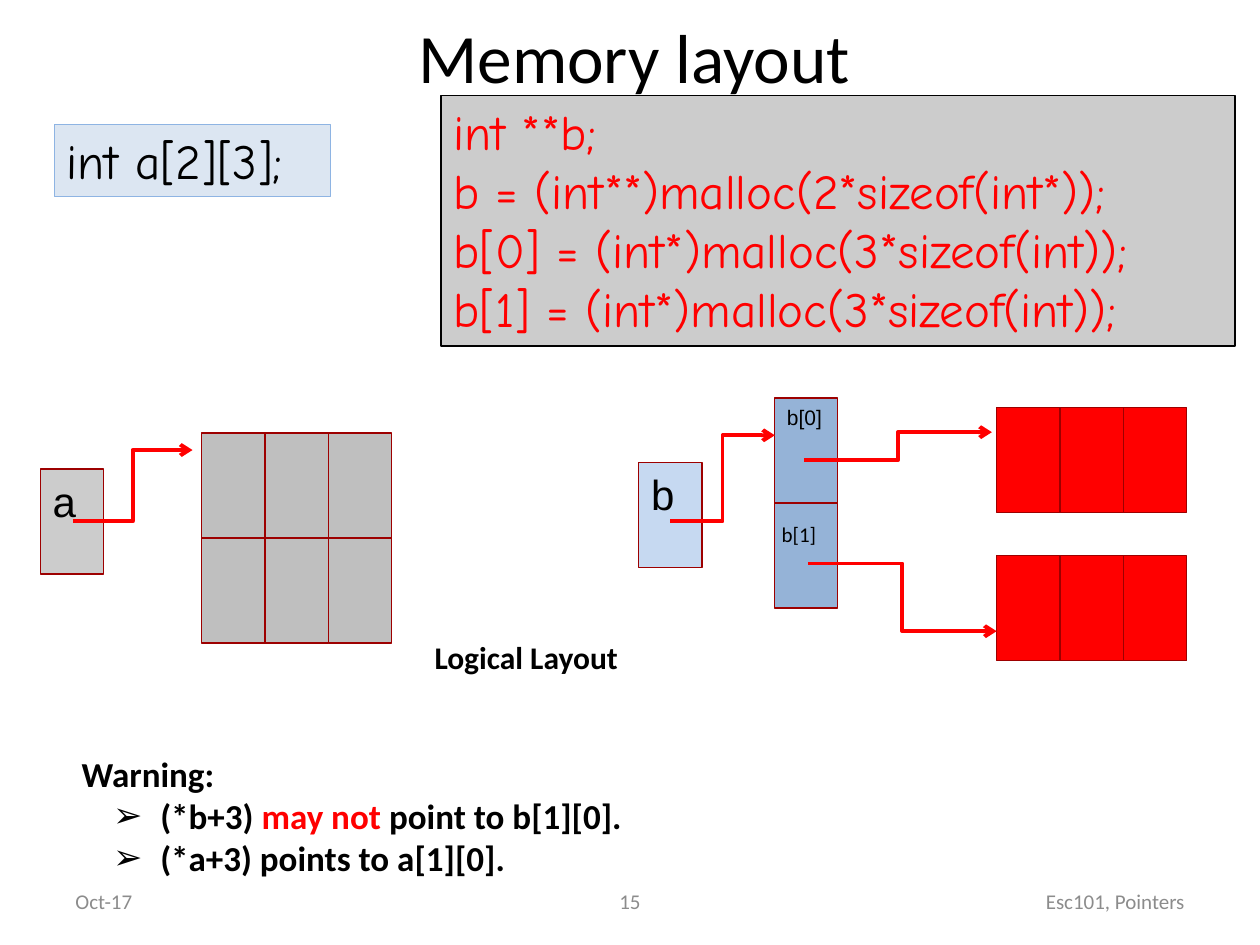
from lxml.etree import SubElement
from pptx import Presentation
from pptx.dml.color import RGBColor
from pptx.enum.shapes import MSO_CONNECTOR, MSO_SHAPE
from pptx.enum.text import MSO_ANCHOR, PP_ALIGN
from pptx.oxml.ns import qn
from pptx.util import Pt

BLACK = RGBColor(0, 0, 0)
RED = RGBColor(255, 0, 0)
DARK = RGBColor(0x9D, 0, 0)
MUTED = RGBColor(0x8C, 0x8C, 0x8C)
GRAY = RGBColor(0xBF, 0xBF, 0xBF)
SILVER = RGBColor(0xCC, 0xCC, 0xCC)
PALE = RGBColor(0xDC, 0xE6, 0xF2)
SKY = RGBColor(0x8E, 0xB4, 0xE3)
BLUE = RGBColor(0x95, 0xB3, 0xD7)
LIGHT = RGBColor(0xC6, 0xD9, 0xF1)

deck = Presentation()
deck.slide_width, deck.slide_height = Pt(720), Pt(540)
slide = deck.slides.add_slide(deck.slide_layouts[6])
shapes = slide.shapes


def write(text, *, box, size, font="Calibri", color=BLACK, bold=False,
          align=PP_ALIGN.LEFT, anchor=MSO_ANCHOR.TOP, hot=None, shape=None):
    shape = shape or shapes.add_textbox(*map(Pt, box))
    frame = shape.text_frame
    frame.word_wrap = True
    frame.vertical_anchor = anchor
    for i, line in enumerate(text.split("\n")):
        para = frame.paragraphs[0] if i == 0 else frame.add_paragraph()
        para.alignment = align
        parts = line.partition(hot) if hot else (line,)
        for part in filter(None, parts):
            run = para.add_run()
            run.text = part
            run.font.name, run.font.size = font, Pt(size)
            run.font.bold = bold
            run.font.color.rgb = RED if part == hot else color
    return frame


def block(box, fill, line=DARK, text="", **style):
    shape = shapes.add_shape(MSO_SHAPE.RECTANGLE, *map(Pt, box))
    shape.shadow.inherit = False
    shape.fill.solid()
    shape.fill.fore_color.rgb = fill
    shape.line.color.rgb = line
    shape.line.width = Pt(0.75)
    if text:
        write(text, box=box, shape=shape, **style)


MID = MSO_ANCHOR.MIDDLE
write("Memory layout", box=(25, 3.6, 675, 57), size=39.6,
      align=PP_ALIGN.CENTER, anchor=MID)
for text, left, width, align in (
    ("Oct-17", 36, 168, PP_ALIGN.LEFT),
    ("15", 246, 228, PP_ALIGN.CENTER),
    ("Esc101, Pointers", 516, 168, PP_ALIGN.RIGHT),
):
    write(text, box=(left, 500.5, width, 28.8), size=12, color=MUTED,
          align=align, anchor=MID)

block((31, 71.2, 158, 41.2), PALE, SKY, "int a[2][3];",
      size=28, font="Comic Neue")
code = """int **b;
b = (int**)malloc(2*sizeof(int*));
b[0] = (int*)malloc(3*sizeof(int));
b[1] = (int*)malloc(3*sizeof(int));"""
block((252, 54.7, 453.8, 143), SILVER, BLACK, code,
      size=28, font="Comic Neue", color=RED)

WIDE, HIGH, STEP = 36.2, 60, 36.2
for left, top, fill in (
    (115.2, 247.4, GRAY), (115.2, 307.4, GRAY),
    (569.5, 232.8, RED), (569.5, 317.6, RED),
):
    for col in range(3):
        block((left + col * STEP, top, WIDE, HIGH), fill)

for text, left, top, fill, size in (
    ("a", 23, 268, SILVER, 24),
    ("b[0]", 442.6, 227.4, BLUE, 12),
    ("", 442.6, 287.4, BLUE, 12),
    ("b", 365, 264.4, LIGHT, 24),
):
    block((left, top, WIDE, HIGH), fill, text=text, size=size, font="Arial")

for ends in (
    (41.5, 298, 110, 257.2),
    (383, 298, 442.8, 248.8),
    (459.5, 263, 566.8, 247),
    (461.7, 322, 569.5, 360.7),
):
    arrow = shapes.add_connector(MSO_CONNECTOR.ELBOW, *map(Pt, ends))
    arrow.line.color.rgb = RED
    arrow.line.width = Pt(2.25)
    SubElement(arrow.line._get_or_add_ln(), qn("a:tailEnd"), type="arrow")
    SubElement(arrow._element.spPr, qn("a:effectLst"))

write("b[1]", box=(439.6, 294.5, 49.7, 21.8), size=12)
note = write("Warning:\n(*b+3) may not point to b[1][0].\n"
             "(*a+3) points to a[1][0].", box=(39.5, 426.3, 466, 80),
             size=20, bold=True, hot="may not")
for para in note.paragraphs[1:]:
    props = para._p.get_or_add_pPr()
    props.set("lvl", "1")
    props.set("marL", str(Pt(45)))
    props.set("indent", str(-Pt(27)))
    SubElement(props, qn("a:buFont"), typeface="Arial")
    SubElement(props, qn("a:buChar"), char="➢")
write("Logical Layout", box=(241.2, 360.9, 162, 29), size=18, bold=True)

deck.save("out.pptx")
